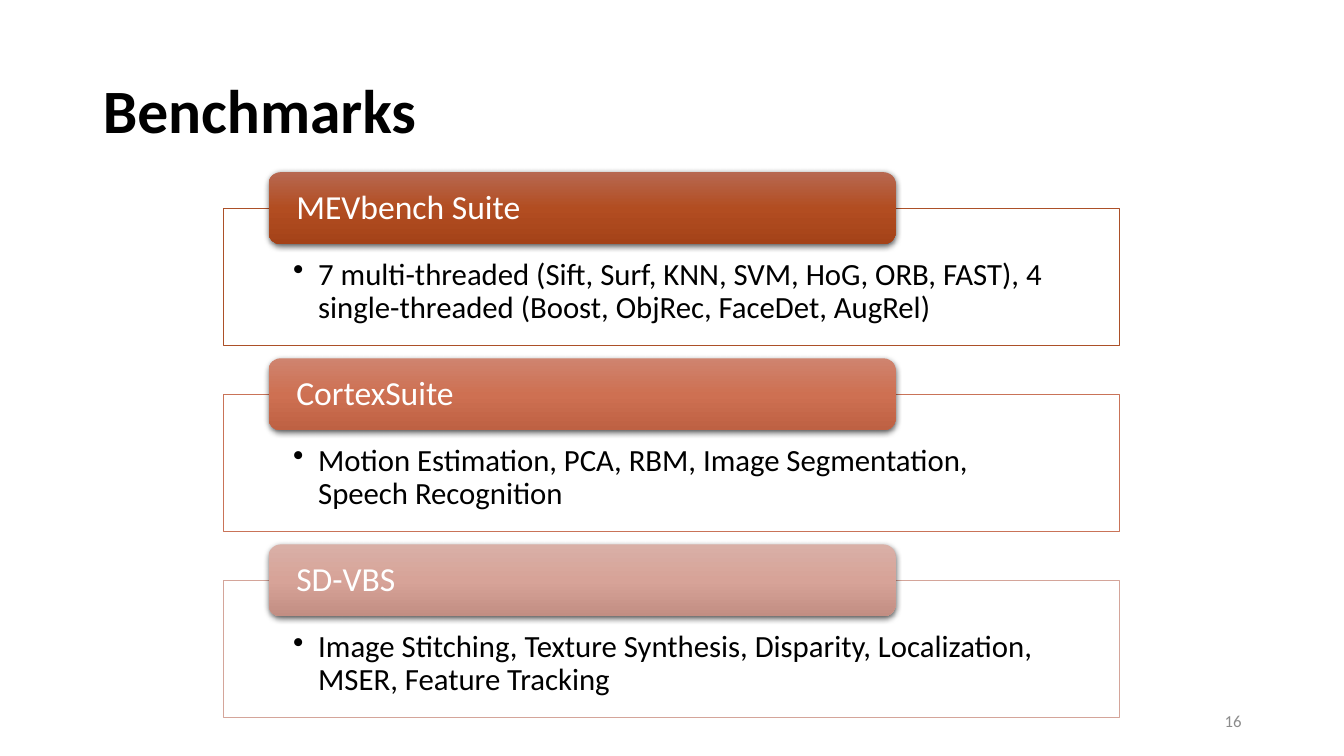
from pptx import Presentation
from pptx.dml.color import RGBColor
from pptx.enum.shapes import MSO_SHAPE
from pptx.enum.text import MSO_ANCHOR, PP_ALIGN
from pptx.oxml import parse_xml
from pptx.oxml.ns import nsdecls, qn
from pptx.util import Cm, Pt
from lxml import etree

RECTANGLE = MSO_SHAPE.RECTANGLE
ROUNDED = MSO_SHAPE.ROUNDED_RECTANGLE
TOP, MIDDLE = MSO_ANCHOR.TOP, MSO_ANCHOR.MIDDLE
LEFT, RIGHT = PP_ALIGN.LEFT, PP_ALIGN.RIGHT

FONT = "Calibri"
BLACK = RGBColor(0x00, 0x00, 0x00)
WHITE = RGBColor(0xFF, 0xFF, 0xFF)
GRAY = RGBColor(0x8C, 0x8C, 0x8C)
RUST = RGBColor(0xAC, 0x50, 0x28)
CORAL = RGBColor(0xC9, 0x73, 0x58)
BLUSH = RGBColor(0xD4, 0xA5, 0x9A)
RUST_GRADIENT = (RGBColor(0xB7, 0x68, 0x51), RGBColor(0xB2, 0x4D, 0x21),
                 RGBColor(0xA4, 0x42, 0x18))
CORAL_GRADIENT = (RGBColor(0xCF, 0x84, 0x6F), RGBColor(0xCE, 0x70, 0x52),
                  RGBColor(0xBE, 0x61, 0x43))
BLUSH_GRADIENT = (RGBColor(0xD9, 0xB0, 0xA7), RGBColor(0xD7, 0xA3, 0x98),
                  RGBColor(0xC2, 0x8E, 0x83))

SUITES = [
    ("MEVbench Suite",
     "7 multi-threaded (Sift, Surf, KNN, SVM, HoG, ORB, FAST), "
     "4 single-threaded (Boost, ObjRec, FaceDet, AugRel)",
     RUST, RUST_GRADIENT),
    ("CortexSuite",
     "Motion Estimation, PCA, RBM, Image Segmentation, Speech Recognition",
     CORAL, CORAL_GRADIENT),
    ("SD-VBS",
     "Image Stitching, Texture Synthesis, Disparity, Localization, "
     "MSER, Feature Tracking",
     BLUSH, BLUSH_GRADIENT),
]
FIRST_TOP = 4.34
SUITE_PITCH = 4.69
HEADER_RISE = 0.91


def write_text(shape, text, size, color=BLACK, bold=False, align=LEFT,
               anchor=MIDDLE, insets=(0.25, 0.13, 0.25, 0.13),
               line_spacing=0.9, bullet=False):
    frame = shape.text_frame
    frame.word_wrap = True
    frame.vertical_anchor = anchor
    (frame.margin_left, frame.margin_top,
     frame.margin_right, frame.margin_bottom) = [Cm(inset) for inset in insets]
    paragraph = frame.paragraphs[0]
    if bullet:
        properties = paragraph._p.get_or_add_pPr()
        properties.set("marL", str(Cm(0.63)))
        properties.set("indent", str(-Cm(0.63)))
        etree.SubElement(properties, qn("a:buChar")).set("char", "•")
    paragraph.alignment = align
    paragraph.line_spacing = line_spacing
    run = paragraph.add_run()
    run.text = text
    run.font.name = FONT
    run.font.size = Pt(size)
    run.font.bold = bold
    run.font.color.rgb = color


def fill_gradient(shape, colors):
    stops = "".join(
        f'<a:gs pos="{i * 50000}"><a:srgbClr val="{color}"/></a:gs>'
        for i, color in enumerate(colors))
    shape.fill.background()
    properties = shape._element.spPr
    properties.replace(properties.find(qn("a:noFill")), parse_xml(
        f'<a:gradFill {nsdecls("a")} rotWithShape="1"><a:gsLst>{stops}</a:gsLst>'
        '<a:lin ang="5400000" scaled="0"/></a:gradFill>'))


def add_shadow(shape):
    effects = shape._element.spPr.find(qn("a:effectLst"))
    effects.append(parse_xml(
        f'<a:outerShdw {nsdecls("a")} blurRad="{Pt(4.5)}" dist="{Pt(1.5)}" '
        'dir="5400000" algn="ctr" rotWithShape="0"><a:srgbClr val="000000">'
        '<a:alpha val="63000"/></a:srgbClr></a:outerShdw>'))


def add_details(slide, top, details, outline):
    box = slide.shapes.add_shape(RECTANGLE, Cm(5.64), Cm(top), Cm(22.58), Cm(3.45))
    box.shadow.inherit = False
    box.fill.solid()
    box.fill.fore_color.rgb = WHITE
    fill_color = box._element.spPr.find(qn("a:solidFill")).find(qn("a:srgbClr"))
    etree.SubElement(fill_color, qn("a:alpha")).set("val", "90000")
    box.line.color.rgb = outline
    box.line.width = Pt(0.5)
    write_text(box, details, 22, anchor=TOP, insets=(1.75, 1.27, 1.75, 0.43),
               bullet=True)


def add_header(slide, top, name, gradient):
    header = slide.shapes.add_shape(ROUNDED, Cm(6.77), Cm(top), Cm(15.8), Cm(1.81))
    header.shadow.inherit = False
    fill_gradient(header, gradient)
    header.line.fill.background()
    add_shadow(header)
    write_text(header, name, 24, color=WHITE, insets=(0.61, 0, 0.61, 0))


def add_title(slide, text):
    title = slide.shapes.title
    title.left, title.top = Cm(2.34), Cm(1.02)
    title.width, title.height = Cm(29.21), Cm(3.68)
    write_text(title, text, 44, bold=True)


def add_page_number(slide, number):
    page = slide.shapes.add_textbox(Cm(23.92), Cm(17.66), Cm(7.62), Cm(1.01))
    write_text(page, number, 12, color=GRAY, align=RIGHT, line_spacing=1.0)


def main():
    presentation = Presentation()
    presentation.slide_width = Cm(33.87)
    presentation.slide_height = Cm(19.05)
    slide = presentation.slides.add_slide(presentation.slide_layouts[5])

    # Title and page number
    add_title(slide, "Benchmarks")
    add_page_number(slide, "16")

    # One outlined box with an overlapping header per suite
    for i, (name, details, outline, gradient) in enumerate(SUITES):
        top = FIRST_TOP + i * SUITE_PITCH
        add_details(slide, top + HEADER_RISE, details, outline)
        add_header(slide, top, name, gradient)

    presentation.save("out.pptx")


if __name__ == "__main__":
    main()
